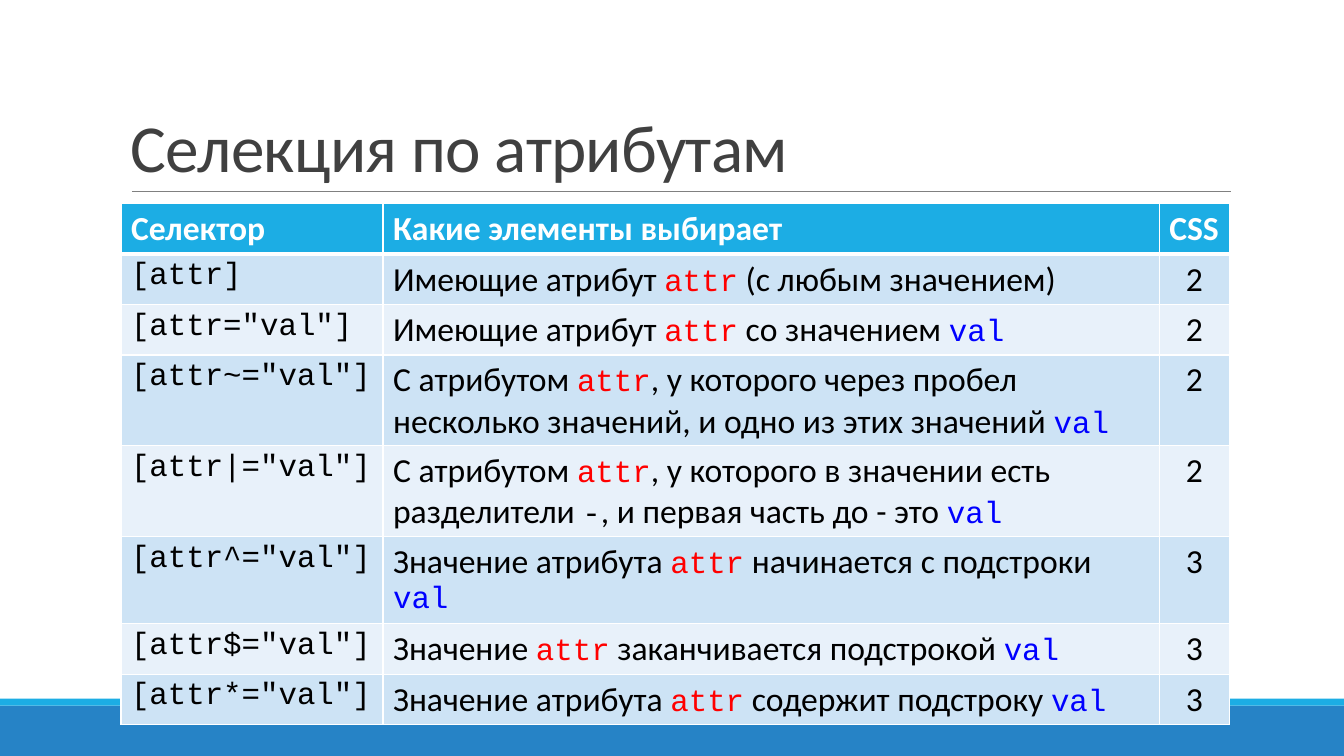
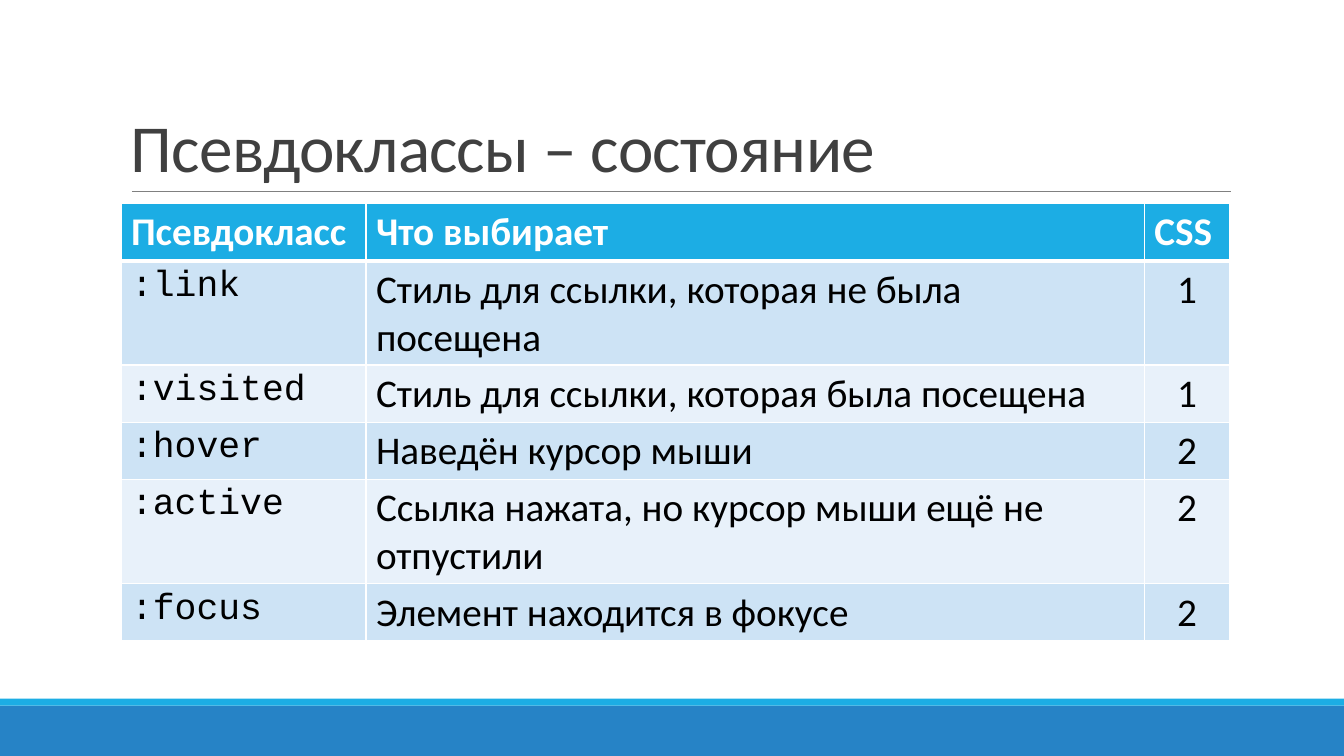
"""Build two slides of CSS selector tables in a shared banded design."""
import pptx
import pptx.dml.color
import pptx.enum.shapes
import pptx.enum.text
import pptx.oxml.ns
import pptx.util
from lxml import etree

Pt = pptx.util.Pt

COLOURS = {
    "band": "2683C6", "accent": "1CADE4", "rule": "808080", "title": "404040",
    "white": "FFFFFF", "black": "000000", "odd": "CDE3F5", "even": "E8F1FA",
    "attr": "FF0000", "val": "0000FF",
}
TEXT_FONT, CODE_FONT = "Calibri", "Courier New"
SLIDE_WIDTH, SLIDE_HEIGHT = 960, 540
LEFT, CONTENT_WIDTH, TABLE_TOP = 86.4, 792, 145.44
BANDS = [("band", 504, 36), ("accent", 499, 5)]
RULE_LEFT, RULE_RIGHT, RULE_Y = 94.3, 879, 136.8
TITLE_TOP, TITLE_HEIGHT = 22.3, 114.5

TOPICS = [
    {
        "title": "Селекция по атрибутам",
        "size": 24,
        "columns": [187.2, 554.4, 50.4],
        "row_heights": [34, 34, 34, 58, 58, 34, 34, 34],
        "header_align": "LEFT",
        "rows": [
            ("Селектор", "Какие элементы выбирает", "CSS"),
            ("`[attr]`", "Имеющие атрибут `attr` (с любым значением)", "2"),
            ('`[attr="val"]`', "Имеющие атрибут `attr` со значением `val`", "2"),
            ('`[attr~="val"]`', "С атрибутом `attr`, у которого через пробел несколько "
             "значений, и одно из этих значений `val`", "2"),
            ('`[attr|="val"]`', "С атрибутом `attr`, у которого в значении есть "
             "разделители `-`, и первая часть до - это `val`", "2"),
            ('`[attr^="val"]`', "Значение атрибута `attr` начинается с подстроки `val`", "3"),
            ('`[attr$="val"]`', "Значение `attr` заканчивается подстрокой `val`", "3"),
            ('`[attr*="val"]`', "Значение атрибута `attr` содержит подстроку `val`", "3"),
        ],
    },
    {
        "title": "Псевдоклассы – состояние",
        "size": 28,
        "columns": [175, 556, 61],
        "row_heights": [29.5] * 6,
        "header_align": "LEFT",
        "rows": [
            ("Псевдокласс", "Что выбирает", "CSS"),
            ("`:link`", "Стиль для ссылки, которая не была посещена", "1"),
            ("`:visited`", "Стиль для ссылки, которая была посещена", "1"),
            ("`:hover`", "Наведён курсор мыши", "2"),
            ("`:active`", "Ссылка нажата, но курсор мыши ещё не отпустили", "2"),
            ("`:focus`", "Элемент находится в фокусе", "2"),
        ],
    },
]


def rgb(name):
    return pptx.dml.color.RGBColor.from_string(COLOURS[name])


def style(font, size, colour, face=TEXT_FONT, bold=False):
    font.size, font.name, font.bold = Pt(size), face, bold
    font.color.rgb = rgb(colour)


def add_frame(slide):
    for colour, top, height in BANDS:
        band = slide.shapes.add_shape(pptx.enum.shapes.MSO_SHAPE.RECTANGLE,
                                      0, Pt(top), Pt(SLIDE_WIDTH), Pt(height))
        band.shadow.inherit = False
        band.fill.solid()
        band.fill.fore_color.rgb = rgb(colour)
        band.line.fill.background()
    rule = slide.shapes.add_connector(pptx.enum.shapes.MSO_CONNECTOR.STRAIGHT,
                                      Pt(RULE_LEFT), Pt(RULE_Y), Pt(RULE_RIGHT), Pt(RULE_Y))
    rule.line.color.rgb = rgb("rule")
    rule.line.width = Pt(0.5)
    etree.SubElement(rule._element.spPr, pptx.oxml.ns.qn("a:effectLst"))


def add_title(slide, text):
    frame = slide.shapes.add_textbox(Pt(LEFT), Pt(TITLE_TOP),
                                     Pt(CONTENT_WIDTH), Pt(TITLE_HEIGHT)).text_frame
    frame.word_wrap = True
    frame.vertical_anchor = pptx.enum.text.MSO_ANCHOR.BOTTOM
    heading = frame.paragraphs[0]
    heading.text = text
    heading.line_spacing = 0.85
    style(heading.runs[0].font, 48, "title")
    heading.runs[0].font._element.set("spc", "-50")


def add_borders(cell, top, bottom):
    properties = cell._tc.get_or_add_tcPr()
    for side, width in (("L", 1), ("R", 1), ("T", top), ("B", bottom)):
        border = etree.SubElement(properties, pptx.oxml.ns.qn(f"a:ln{side}"), w=str(Pt(width)))
        fill = etree.SubElement(border, pptx.oxml.ns.qn("a:solidFill"))
        etree.SubElement(fill, pptx.oxml.ns.qn("a:srgbClr"), val=COLOURS["white"])


def write_cell(cell, text, size, is_header):
    """Set text in which backticks enclose code."""
    paragraph = cell.text_frame.paragraphs[0]
    for index, part in enumerate(text.split("`")):
        if not part:
            continue
        run = paragraph.add_run()
        run.text = part
        if is_header:
            style(run.font, size, "white", bold=True)
        elif index % 2:
            style(run.font, size - 2, part if part in COLOURS else "black", CODE_FONT)
        else:
            style(run.font, size, "black")
    return paragraph


def add_selectors(slide, topic):
    rows, columns = topic["rows"], topic["columns"]
    table = slide.shapes.add_table(len(rows), len(columns), Pt(LEFT), Pt(TABLE_TOP),
                                   Pt(CONTENT_WIDTH), Pt(sum(topic["row_heights"]))).table
    for column, width in zip(table.columns, columns):
        column.width = Pt(width)
    for r, (row, height) in enumerate(zip(rows, topic["row_heights"])):
        table.rows[r].height = Pt(height)
        background = "accent" if r == 0 else "odd" if r % 2 else "even"
        for c, text in enumerate(row):
            cell = table.cell(r, c)
            add_borders(cell, 3 if r == 1 else 1, 3 if r == 0 else 1)
            cell.fill.solid()
            cell.fill.fore_color.rgb = rgb(background)
            paragraph = write_cell(cell, text, topic["size"], r == 0)
            if r and c == len(columns) - 1:
                paragraph.alignment = pptx.enum.text.PP_ALIGN.CENTER


def main():
    deck = pptx.Presentation()
    deck.slide_width, deck.slide_height = Pt(SLIDE_WIDTH), Pt(SLIDE_HEIGHT)
    for topic in TOPICS:
        slide = deck.slides.add_slide(deck.slide_layouts[6])
        add_frame(slide)
        add_title(slide, topic["title"])
        add_selectors(slide, topic)
    deck.save("out.pptx")


if __name__ == "__main__":
    main()
